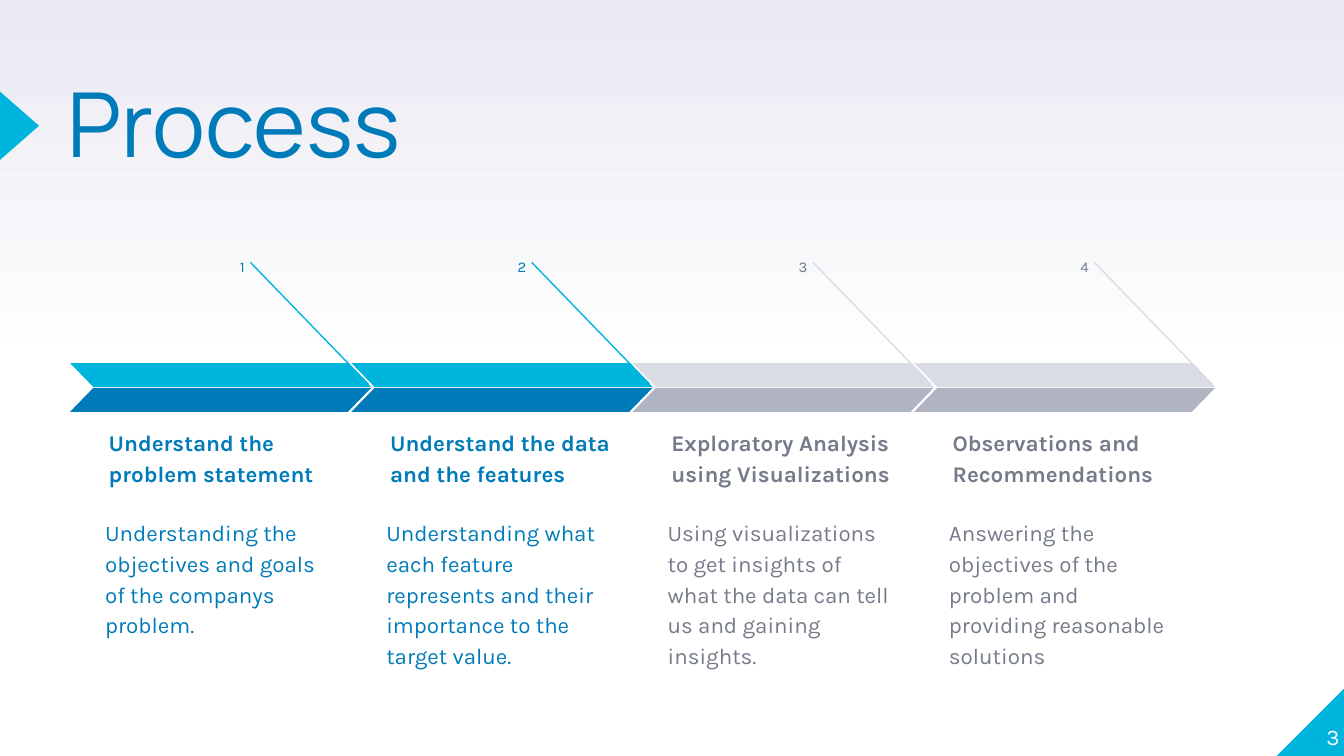
import pptx
import pptx.dml.color
import pptx.enum.shapes
import pptx.enum.text
import pptx.oxml.ns
import pptx.util
import lxml.etree

Pt = pptx.util.Pt
RGBColor = pptx.dml.color.RGBColor
SHAPE = pptx.enum.shapes.MSO_SHAPE
ALIGN = pptx.enum.text.PP_ALIGN
ANCHOR = pptx.enum.text.MSO_ANCHOR

CYAN = RGBColor(0x00, 0xB5, 0xDD)
BLUE = RGBColor(0x00, 0x7B, 0xB9)
LIGHT_GREY = RGBColor(0xDA, 0xDC, 0xE5)
MID_GREY = RGBColor(0xB0, 0xB3, 0xC1)
TEXT_GREY = RGBColor(0x75, 0x7B, 0x89)
WHITE = RGBColor(0xFF, 0xFF, 0xFF)
LAVENDER = RGBColor(0xE9, 0xEA, 0xF2)

DONE = (CYAN, BLUE, BLUE)
PENDING = (LIGHT_GREY, MID_GREY, TEXT_GREY)

STEPS = [
    ("Understand the problem statement",
     "Understanding the objectives and goals of the companys problem.", DONE),
    ("Understand the data and the features",
     "Understanding what each feature represents and their importance "
     "to the target value.", DONE),
    ("Exploratory Analysis using Visualizations",
     "Using visualizations to get insights of what the data can tell us "
     "and gaining insights.", PENDING),
    ("Observations and Recommendations",
     "Answering the objectives of the problem and providing reasonable "
     "solutions", PENDING),
]


def write(holder, text, *, size, color, font="Karla", bold=False,
          align=ALIGN.LEFT, anchor=ANCHOR.TOP, inset=7.2, spacing=1.15, after=0):
    frame = holder.text_frame
    frame.word_wrap = True
    frame.auto_size = pptx.enum.text.MSO_AUTO_SIZE.NONE
    frame.vertical_anchor = anchor
    frame.margin_left = frame.margin_right = Pt(inset)
    frame.margin_top = frame.margin_bottom = Pt(inset)
    paragraph = frame.paragraphs[0]
    paragraph.alignment = align
    paragraph.line_spacing = spacing
    paragraph.space_after = Pt(after)
    run = paragraph.add_run()
    run.text = text
    run.font.name = font
    run.font.size = Pt(size)
    run.font.bold = bold
    run.font.color.rgb = color


def add_label(shapes, box, text, **text_format):
    write(shapes.add_textbox(*map(Pt, box)), text, **text_format)


def add_solid(shapes, kind, box, color, flipped=False):
    solid = shapes.add_shape(kind, *map(Pt, box))
    solid.shadow.inherit = False
    solid.fill.solid()
    solid.fill.fore_color.rgb = color
    solid.line.fill.background()
    if flipped:
        solid._element.spPr.xfrm.set("flipH", "1")
    return solid


def add_leader(shapes, start, end, color):
    leader = shapes.add_connector(
        pptx.enum.shapes.MSO_CONNECTOR.STRAIGHT, *map(Pt, start + end))
    leader.line.color.rgb = color
    leader.line.width = Pt(0.75)
    lxml.etree.SubElement(leader._element.spPr, pptx.oxml.ns.qn("a:effectLst"))


def paint_background(slide):
    fill = slide.background.fill
    fill.gradient()
    fill.gradient_angle = 90
    for stop, (position, color) in zip(fill.gradient_stops,
                                       [(0.5, WHITE), (1, LAVENDER)]):
        stop.position = position
        stop.color.rgb = color


def add_header(slide, left, top, width, height):
    marker = add_solid(slide.shapes, SHAPE.ISOSCELES_TRIANGLE,
                       (left - 44, top + 9.4, 36.8, 21), CYAN)
    marker.rotation = 90
    title = slide.shapes.title
    title.left, title.top, title.width, title.height = map(
        Pt, (left, top, width, height))
    write(title, "Process", size=48, color=BLUE, font="Manrope",
          inset=0, spacing=0.8)


def add_page_corner(slide, left, top, side):
    add_solid(slide.shapes, SHAPE.RIGHT_TRIANGLE, (left, top, side, side),
              CYAN, flipped=True)
    add_label(slide.shapes, (left - 3, top - 3, side, side), "3", size=12,
              color=WHITE, align=ALIGN.RIGHT, anchor=ANCHOR.BOTTOM,
              inset=0, spacing=1)


def add_step(slide, left, top, width, number, heading, detail, palette):
    upper, lower, ink = palette
    shapes = slide.shapes.add_group_shape().shapes
    add_label(shapes, (left + 46, top, 54.7, 21), str(number), size=8,
              color=ink, align=ALIGN.RIGHT, after=16)
    add_label(shapes, (left + 13.6, top + 99, 132.5, 39.6), heading, size=12,
              color=ink, bold=True, anchor=ANCHOR.BOTTOM)
    add_label(shapes, (left + 11.6, top + 139, 136, 65), detail, size=12,
              color=ink, after=16)
    add_leader(shapes, (left + 96.6, top + 11), (left + 159.8, top + 76.3), upper)
    for offset, color, flipped in [(64.9, upper, True), (78.2, lower, False)]:
        band = add_solid(shapes, SHAPE.PARALLELOGRAM,
                         (left, top + offset, width, 12.8), color, flipped)
        band.adjustments[0] = 0.97


def add_process(slide, left, top, pitch):
    for index, (heading, detail, palette) in enumerate(STEPS):
        add_step(slide, left + index * pitch, top, pitch + 10.6,
                 index + 1, heading, detail, palette)


def main():
    deck = pptx.Presentation()
    deck.slide_width, deck.slide_height = Pt(720), Pt(405)
    slide = deck.slides.add_slide(deck.slide_layouts[5])
    paint_background(slide)
    add_header(slide, 36, 47.5, 444, 85)
    add_page_corner(slide, 684, 368.4, 36.6)
    add_process(slide, 37.6, 129.6, 150.7)
    deck.save("out.pptx")


if __name__ == "__main__":
    main()
